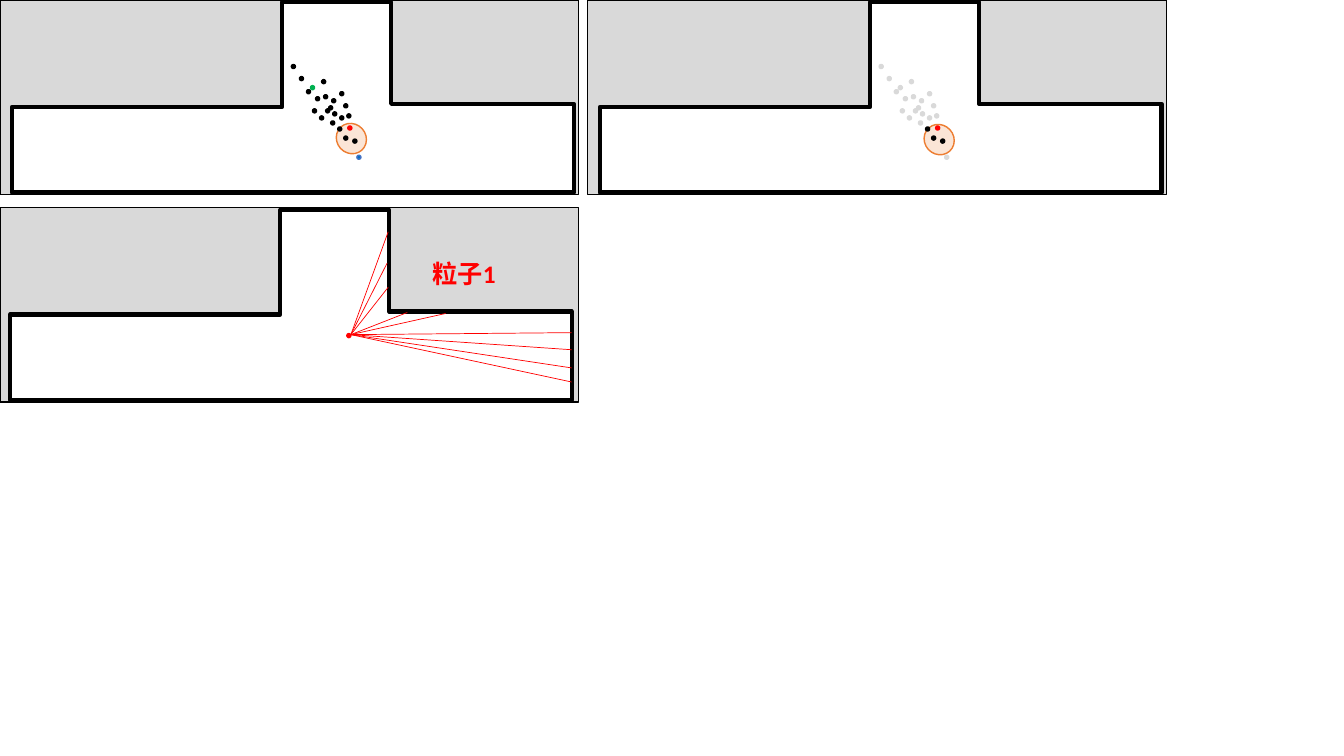
from lxml import etree
from pptx import Presentation
from pptx.dml.color import RGBColor
from pptx.enum.shapes import MSO_CONNECTOR, MSO_SHAPE
from pptx.enum.text import MSO_AUTO_SIZE
from pptx.util import Inches, Pt

RECT, OVAL = MSO_SHAPE.RECTANGLE, MSO_SHAPE.OVAL
STRAIGHT = MSO_CONNECTOR.STRAIGHT
FIT_SHAPE = MSO_AUTO_SIZE.SHAPE_TO_FIT_TEXT
A_NS = "http://schemas.openxmlformats.org/drawingml/2006/main"

C = {"black": "000000", "white": "FFFFFF", "grey": "D9D9D9", "red": "FF0000",
     "green": "00B050", "blue": "0070C0", "blue_line": "4472C4",
     "peach": "FBE5D6", "orange": "ED7D31"}

prs = Presentation()
prs.slide_width, prs.slide_height = Inches(13.33), Inches(7.5)
s = prs.slides.add_slide(prs.slide_layouts[6])


def style(sp, fill, line, width=1):
    """Give a shape a flat fill and an outline, and return it."""
    sp.shadow.inherit = False
    sp.fill.solid()
    sp.fill.fore_color.rgb = RGBColor.from_string(C[fill])
    sp.line.color.rgb = RGBColor.from_string(C[line])
    sp.line.width = Pt(width)
    return sp


def add_text(text, x, y, w, h, size=18, color="black", bold=False, font="Calibri"):
    """Add a one-line text box."""
    tf = s.shapes.add_textbox(Inches(x), Inches(y), Inches(w), Inches(h)).text_frame
    tf.word_wrap = False
    tf.auto_size = FIT_SHAPE
    r = tf.paragraphs[0].add_run()
    r.text = text
    r.font.name, r.font.size, r.font.bold = font, Pt(size), bold
    r.font.color.rgb = RGBColor.from_string(C[color])


# Map panels: grey background and the walls of a T-shaped corridor
WALLS = [(0, 1.06), (2.68, 1.06), (2.68, 0.02), (3.76, 0.02), (3.76, 1.03),
         (5.57, 1.03), (5.57, 1.91), (0, 1.91)]
PANEL_STEP = 5.83
PANELS = [(0, 0, 0.12), (PANEL_STEP, 0, 0.12), (0, 2.06, 0.1)]  # x, y, wall inset
for x, y, inset in PANELS:
    style(s.shapes.add_shape(RECT, Inches(x), Inches(y), Inches(5.74), Inches(1.93)),
          "grey", "black")
    points = [(Inches(x + inset + wx), Inches(y + wy)) for wx, wy in WALLS]
    fb = s.shapes.build_freeform(*points[0])
    fb.add_line_segments(points[1:], close=True)
    style(fb.convert_to_shape(), "white", "black", 3)

# Particles before and after keeping those within the circle
DOT = Inches(0.04)
PARTICLES = [(3.28, 1.2), (3.08, 0.85), (2.97, 0.76), (3.26, 1.05), (3.3, 1.11),
             (3.35, 1.26), (3.37, 0.91), (3.44, 1.13), (3.13, 0.96), (3.41, 1.35),
             (3.21, 0.94), (3.17, 1.15), (3.41, 1.03), (2.89, 0.64), (3.5, 1.38),
             (3.54, 1.54), (3.29, 0.98), (3.1, 1.08), (3.45, 1.25), (3.23, 1.08),
             (3.37, 1.15), (3.19, 0.79), (3.04, 0.89)]
BEST = (3.45, 1.25)
SPECIAL = {(3.08, 0.85): ("green", "green"), (3.54, 1.54): ("blue", "blue_line"),
           BEST: ("red", "red")}
KEPT = [(3.35, 1.26), (3.41, 1.35), (3.5, 1.38), BEST]
for dx, circle_y, filtered in [(0, 1.23, False), (PANEL_STEP, 1.24, True)]:
    circle = style(s.shapes.add_shape(OVAL, Inches(3.33 + dx), Inches(circle_y),
                                      Inches(0.31), Inches(0.29)), "peach", "orange")
    circle.rotation = 47.8
    for pos in PARTICLES:
        fill, line = SPECIAL.get(pos, ("black", "black"))
        if filtered and pos not in KEPT:
            fill = line = "grey"
        style(s.shapes.add_shape(OVAL, Inches(pos[0] + dx), Inches(pos[1]), DOT, DOT),
              fill, line)

# Range scan cast from the first particle
style(s.shapes.add_shape(OVAL, Inches(3.44), Inches(3.31), DOT, DOT), "red", "red")
RAY_ENDS = [(3.84, 2.61), (3.85, 2.3), (3.85, 2.85), (4.04, 3.1), (4.42, 3.11),
            (5.67, 3.3), (5.67, 3.47), (5.67, 3.65), (5.67, 3.79)]
for x, y in RAY_ENDS:
    ray = s.shapes.add_connector(STRAIGHT, Inches(3.48), Inches(3.32),
                                 Inches(x), Inches(y))
    ray.line.color.rgb = RGBColor.from_string(C["red"])
    ray.line.width = Pt(0.5)
    etree.SubElement(ray._element.spPr, f"{{{A_NS}}}effectLst")
add_text("粒子1", 4.19, 2.51, 0.89, 0.4, color="red", bold=True)

prs.save("out.pptx")
